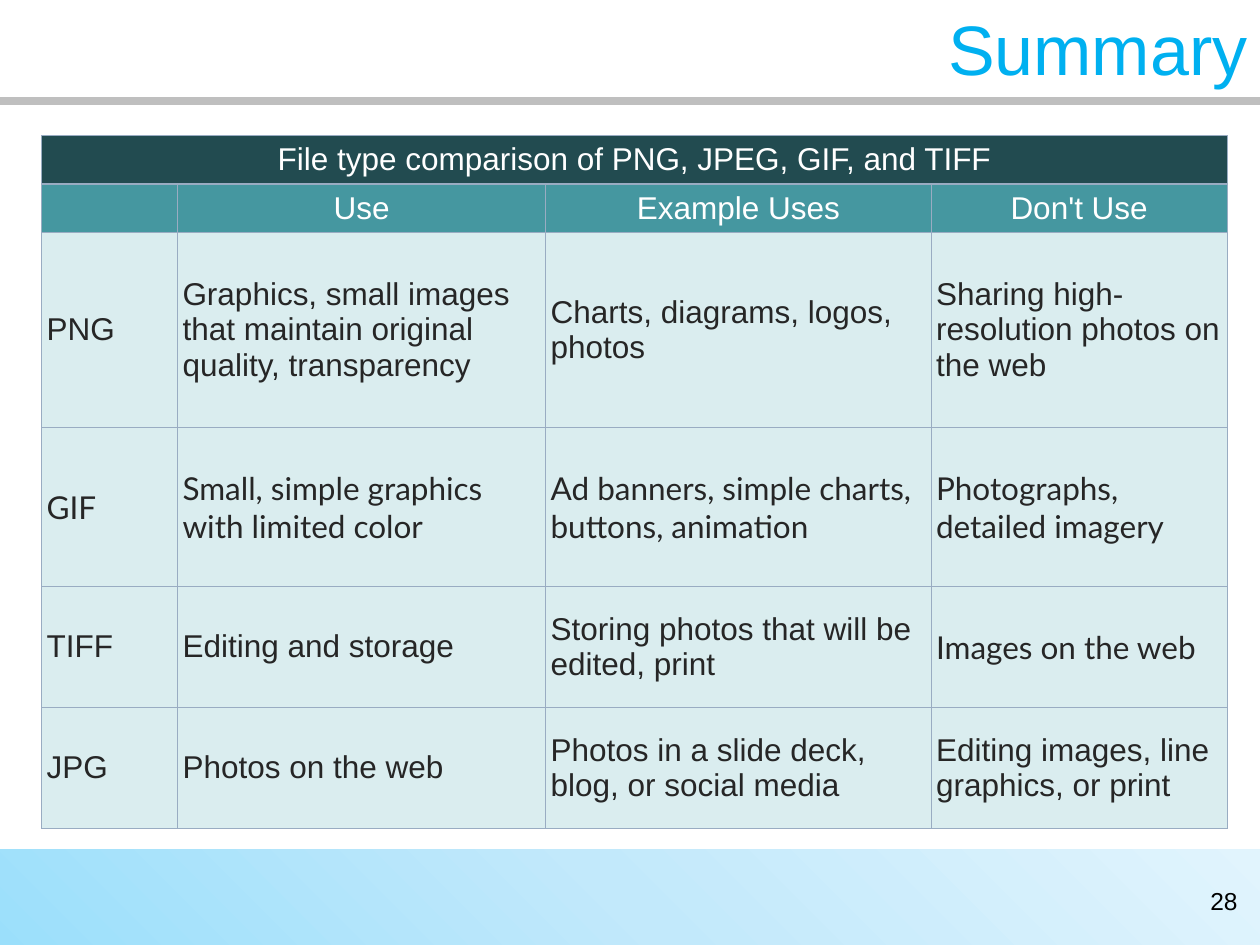
from copy import deepcopy
from lxml.etree import SubElement
from pptx import Presentation
from pptx.dml.color import RGBColor
from pptx.enum.shapes import MSO_CONNECTOR, MSO_SHAPE
from pptx.enum.text import MSO_ANCHOR, PP_ALIGN
from pptx.oxml import parse_xml
from pptx.oxml.ns import nsdecls, qn
from pptx.util import Cm, Pt

WHITE = RGBColor(0xFF, 0xFF, 0xFF)
BLACK = RGBColor(0, 0, 0)
INK = RGBColor(0x26, 0x26, 0x26)
SKY = RGBColor(0x00, 0xB0, 0xF0)
GREY = RGBColor(0xBF, 0xBF, 0xBF)
DARK = RGBColor(0x22, 0x4B, 0x50)
TEAL = RGBColor(0x45, 0x97, 0xA0)
PALE = RGBColor(0xDA, 0xED, 0xEF)
EDGE = RGBColor(0x99, 0xAC, 0xC2)
BLEND = [
    (0, RGBColor(0x9B, 0xDF, 0xFB)),
    (0.5, RGBColor(0xC2, 0xE9, 0xFB)),
    (1, RGBColor(0xE1, 0xF4, 0xFD)),
]

ROWS = [
    ["File type comparison of PNG, JPEG, GIF, and TIFF", "", "", ""],
    ["", "Use", "Example Uses", "Don't Use"],
    ["PNG", "Graphics, small images that maintain original quality, transparency",
     "Charts, diagrams, logos, photos", "Sharing high-resolution photos on the web"],
    ["GIF", "Small, simple graphics with limited color",
     "Ad banners, simple charts, buttons, animation", "Photographs, detailed imagery"],
    ["TIFF", "Editing and storage",
     "Storing photos that will be edited, print", "Images on the web"],
    ["JPG", "Photos on the web",
     "Photos in a slide deck, blog, or social media",
     "Editing images, line graphics, or print"],
]
WIDTHS = [2.74, 7.42, 7.77, 5.97]
HEIGHTS = [0.97, 0.97, 3.94, 3.2, 2.44, 2.44]
HEADS = [DARK, TEAL]
LATO = {(3, 0), (3, 1), (3, 2), (3, 3), (4, 3)}


def write(frame, text, size=18, font="Arial", color=INK, align=PP_ALIGN.LEFT):
    para = frame.paragraphs[0]
    para.alignment = align
    run = para.add_run()
    run.text = text
    run.font.size = Pt(size)
    run.font.name = font
    run.font.color.rgb = color


def edge(cell):
    props = cell._tc.get_or_add_tcPr()
    for spot, side in enumerate(("lnL", "lnR", "lnT", "lnB")):
        props.insert(spot, parse_xml(
            f'<a:{side} {nsdecls("a")} w="{Pt(0.75)}"><a:solidFill>'
            f'<a:srgbClr val="{EDGE}"/></a:solidFill></a:{side}>'))


def blend(shape):
    fill = shape.fill
    fill.gradient()
    fill.gradient_angle = 45
    stops = shape._element.spPr.find(".//" + qn("a:gsLst"))
    stops.append(deepcopy(stops[0]))
    for stop, (place, color) in zip(fill.gradient_stops, BLEND):
        stop.position = place
        stop.color.rgb = color


def main():
    deck = Presentation()
    deck.slide_width, deck.slide_height = Cm(25.4), Cm(19.05)
    slide = deck.slides.add_slide(deck.slide_layouts[5])
    shapes = slide.shapes

    band = shapes.add_shape(MSO_SHAPE.RECTANGLE, 0, Cm(17.12), Cm(25.4), Cm(2.13))
    band.shadow.inherit = False
    band.line.fill.background()
    blend(band)

    rule = shapes.add_connector(MSO_CONNECTOR.STRAIGHT, 0, Cm(2.03), Cm(25.4), Cm(2.03))
    rule.line.color.rgb = GREY
    rule.line.width = Pt(4.5)
    SubElement(rule._element.spPr, qn("a:effectLst"))

    title = shapes.title
    title.left, title.top, title.width, title.height = 0, 0, Cm(25.4), Cm(1.93)
    title.text_frame.vertical_anchor = MSO_ANCHOR.MIDDLE
    write(title.text_frame, "Summary", size=40, color=SKY, align=PP_ALIGN.RIGHT)

    page = shapes.add_textbox(Cm(23.5), Cm(17.73), Cm(1.7), Cm(1.32)).text_frame
    page.word_wrap = True
    write(page, "28", size=14, color=BLACK, align=PP_ALIGN.RIGHT)

    table = shapes.add_table(len(ROWS), len(WIDTHS), Cm(0.84), Cm(2.74),
                             Cm(sum(WIDTHS)), Cm(sum(HEIGHTS))).table
    table.first_row = table.horz_banding = False
    for col, width in zip(table.columns, WIDTHS):
        col.width = Cm(width)
    for row, height in zip(table.rows, HEIGHTS):
        row.height = Cm(height)
    table.cell(0, 0).merge(table.cell(0, len(WIDTHS) - 1))

    for r, row in enumerate(ROWS):
        head = r < len(HEADS)
        for c, text in enumerate(row):
            cell = table.cell(r, c)
            cell.fill.solid()
            cell.fill.fore_color.rgb = HEADS[r] if head else PALE
            cell.vertical_anchor = MSO_ANCHOR.MIDDLE
            cell.margin_left = cell.margin_right = Cm(0.1)
            cell.margin_top = cell.margin_bottom = Cm(0.1)
            edge(cell)
            if text:
                write(cell.text_frame, text,
                      font="Lato" if (r, c) in LATO else "Arial",
                      color=WHITE if head else INK,
                      align=PP_ALIGN.CENTER if head else PP_ALIGN.LEFT)

    deck.save("out.pptx")


if __name__ == "__main__":
    main()
